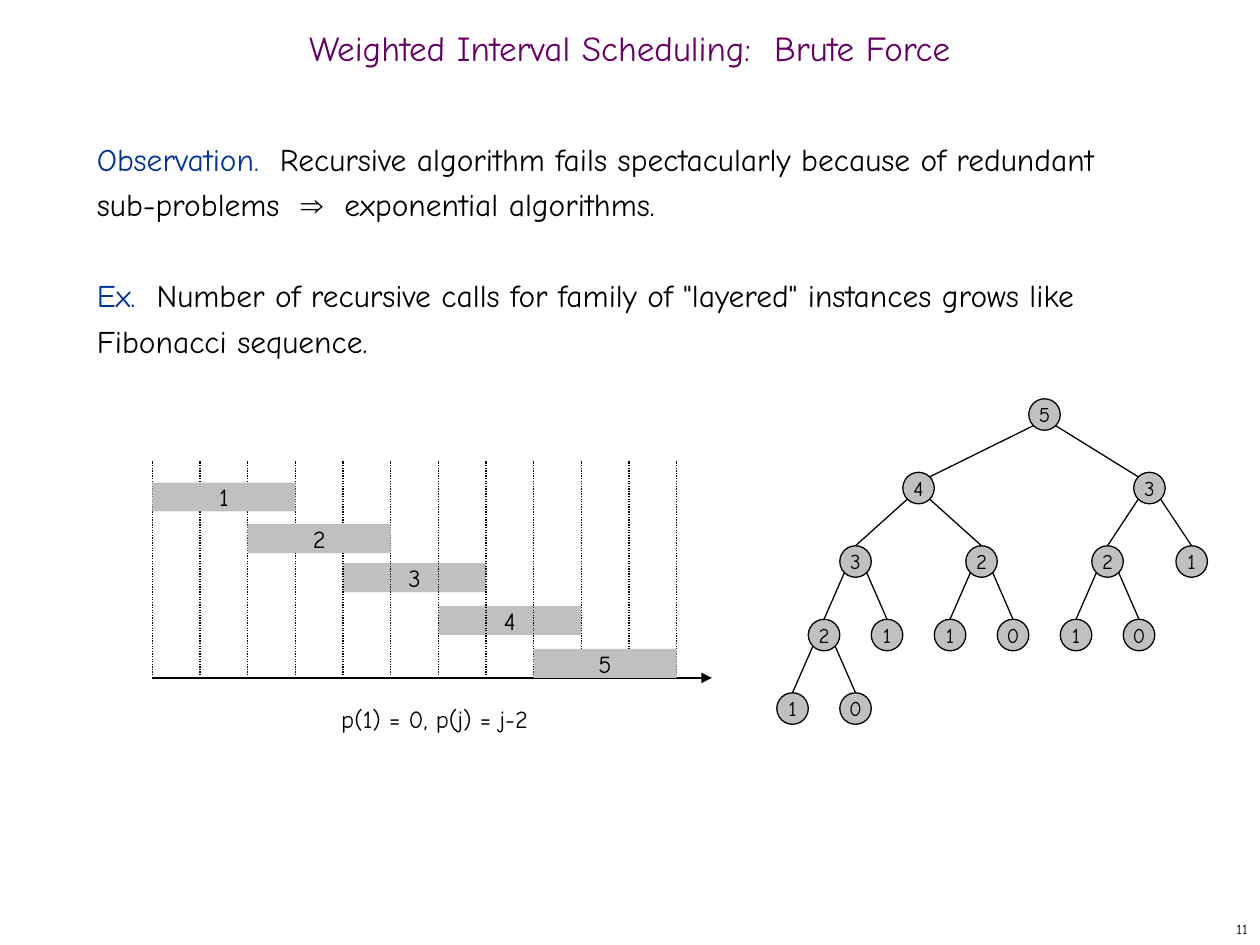
from dataclasses import dataclass
from math import sqrt

from lxml import etree
from pptx import Presentation
from pptx.dml.color import RGBColor
from pptx.enum.dml import MSO_LINE
from pptx.enum.shapes import MSO_CONNECTOR, MSO_SHAPE
from pptx.enum.text import MSO_ANCHOR, PP_ALIGN
from pptx.oxml.ns import qn
from pptx.util import Inches, Pt

BLACK = RGBColor(0x00, 0x00, 0x00)
PURPLE = RGBColor(0x66, 0x00, 0x66)
BLUE = RGBColor(0x00, 0x33, 0x99)
GRAY = RGBColor(0xC0, 0xC0, 0xC0)
FONT, SYMBOL_FONT = "Comic Neue", "Arial"
LEFT, CENTER, RIGHT = PP_ALIGN.LEFT, PP_ALIGN.CENTER, PP_ALIGN.RIGHT
TOP, MIDDLE = MSO_ANCHOR.TOP, MSO_ANCHOR.MIDDLE
DOTTED = MSO_LINE.ROUND_DOT
RECTANGLE, OVAL = MSO_SHAPE.RECTANGLE, MSO_SHAPE.OVAL
STRAIGHT = MSO_CONNECTOR.STRAIGHT

SLIDE_W, SLIDE_H = 10, 7.5

# Timeline grid: 12 ticks from the first to the last
AXIS_LEFT, AXIS_RIGHT, AXIS_Y = 1.21, 5.65, 5.38
TICK_TOP, TICK_COUNT = 3.66, 12
TICK_GAP = (5.37 - AXIS_LEFT) / (TICK_COUNT - 1)
BAR_COLUMNS, BAR_H = 3, 0.23

# Call tree grid: centre of the first cell, cell size and node size
TREE_LEFT, TREE_TOP = 6.29, 3.29
TREE_COLUMN, TREE_ROW = 0.25, 7 / 12
NODE_SIZE = 0.25
DIAGONAL = NODE_SIZE / 2 / sqrt(2)


@dataclass(frozen=True)
class Run:
    text: str
    color: RGBColor = BLACK
    font: str = FONT


@dataclass(frozen=True)
class Job:
    number: int
    top: float

    @property
    def column(self) -> int:
        return 2 * (self.number - 1)


@dataclass(frozen=True)
class Call:
    """One recursive call: its argument, grid cell and the calls it makes."""
    argument: int
    column: float
    row: int
    children: tuple["Call", ...] = ()

    @property
    def center(self) -> tuple[float, float]:
        return (TREE_LEFT + self.column * TREE_COLUMN,
                TREE_TOP + self.row * TREE_ROW)


JOBS_BEHIND_TICKS = (Job(3, 4.47), Job(4, 4.81))
JOBS_OVER_TICKS = (Job(5, 5.15), Job(1, 3.83), Job(2, 4.16))


def call_two(column: float, row: int, children: tuple[Call, ...]) -> Call:
    return Call(2, column, row, children)


def leaves(left_column: float, row: int) -> tuple[Call, ...]:
    return Call(1, left_column, row), Call(0, left_column + 2, row)


CALL_TREE = Call(5, 8, 0, (
    Call(4, 4, 1, (
        Call(3, 2, 2, (call_two(1, 3, leaves(0, 4)), Call(1, 3, 3))),
        call_two(6, 2, leaves(5, 3)))),
    Call(3, 11.33, 1, (
        call_two(10, 2, leaves(9, 3)),
        Call(1, 12.67, 2)))))


def write(shape, paragraphs: list[list[Run]], *, size: float, align=LEFT,
          anchor=MIDDLE, wrap=False, line_spacing=None, gap: float = 0) -> None:
    frame = shape.text_frame
    frame.word_wrap = wrap
    frame.vertical_anchor = anchor
    for index, runs in enumerate(paragraphs):
        paragraph = frame.add_paragraph() if index else frame.paragraphs[0]
        paragraph.alignment = align
        if line_spacing:
            paragraph.line_spacing = line_spacing
        if index:
            paragraph.space_before = Pt(gap)
        for part in runs:
            run = paragraph.add_run()
            run.text = part.text
            run.font.size = Pt(size)
            run.font.name = part.font
            run.font.color.rgb = part.color


def add_text(shapes, left: float, top: float, width: float, height: float,
             paragraphs: list[list[Run]], **text_format) -> None:
    box = shapes.add_textbox(*map(Inches, (left, top, width, height)))
    write(box, paragraphs, **text_format)


def add_label_shape(shapes, kind, left: float, top: float, width: float,
                    height: float, label: str, size: float,
                    outlined: bool) -> None:
    shape = shapes.add_shape(kind, *map(Inches, (left, top, width, height)))
    shape.shadow.inherit = False
    shape.fill.solid()
    shape.fill.fore_color.rgb = GRAY
    if outlined:
        shape.line.color.rgb = BLACK
        shape.line.width = Pt(0.75)
    else:
        shape.line.fill.background()
    write(shape, [[Run(label)]], size=size, align=CENTER)


def add_line(shapes, start: tuple[float, float], end: tuple[float, float],
             dash=None, arrow: bool = False) -> None:
    line = shapes.add_connector(STRAIGHT, *map(Inches, (*start, *end)))
    line.line.color.rgb = BLACK
    line.line.width = Pt(0.75)
    if dash:
        line.line.dash_style = dash
    properties = line._element.spPr
    if arrow:
        etree.SubElement(properties.find(qn("a:ln")), qn("a:tailEnd"),
                         type="triangle")
    etree.SubElement(properties, qn("a:effectLst"))


def add_jobs(shapes, jobs: tuple[Job, ...]) -> None:
    for job in jobs:
        add_label_shape(shapes, RECTANGLE, AXIS_LEFT + job.column * TICK_GAP,
                        job.top, BAR_COLUMNS * TICK_GAP, BAR_H,
                        str(job.number), 14, outlined=False)


def add_timeline(shapes) -> None:
    add_line(shapes, (AXIS_LEFT, AXIS_Y), (AXIS_RIGHT, AXIS_Y), arrow=True)
    add_jobs(shapes, JOBS_BEHIND_TICKS)
    ticks = shapes.add_group_shape().shapes
    for column in range(TICK_COUNT):
        x = AXIS_LEFT + column * TICK_GAP
        add_line(ticks, (x, AXIS_Y), (x, TICK_TOP), dash=DOTTED)
    add_jobs(shapes, JOBS_OVER_TICKS)


def add_calls(shapes, call: Call) -> None:
    """Draw a call, then each call below it with the edge that leads there."""
    x, y = call.center
    add_label_shape(shapes, OVAL, x - NODE_SIZE / 2, y - NODE_SIZE / 2,
                    NODE_SIZE, NODE_SIZE, str(call.argument), 12, outlined=True)
    for child in call.children:
        child_x, child_y = child.center
        side = DIAGONAL if child_x > x else -DIAGONAL
        if call.row == 0:  # the wide top edges meet the child's shoulder
            end = (child_x - side, child_y - DIAGONAL)
        else:
            end = (child_x, child_y - NODE_SIZE / 2)
        add_line(shapes, (x + side, y + DIAGONAL), end)
        add_calls(shapes, child)


def main() -> None:
    deck = Presentation()
    deck.slide_width, deck.slide_height = Inches(SLIDE_W), Inches(SLIDE_H)
    shapes = deck.slides.add_slide(deck.slide_layouts[6]).shapes

    add_text(shapes, 0, 0.17, SLIDE_W, 0.5,
             [[Run("Weighted Interval Scheduling:  Brute Force", PURPLE)]],
             size=20, align=CENTER, wrap=True, line_spacing=0.7)
    add_text(shapes, 0.67, 1, 8.58, 5.92, [
        [Run("Observation.  ", BLUE),
         Run("Recursive algorithm fails spectacularly because of redundant "
             "sub-problems  "),
         Run("⇒", font=SYMBOL_FONT),
         Run("  exponential algorithms.")],
        [Run("Ex.  ", BLUE),
         Run('Number of recursive calls for family of "layered" instances '
             "grows like Fibonacci sequence.")],
    ], size=18, anchor=TOP, wrap=True, line_spacing=Pt(26), gap=26)

    add_timeline(shapes)
    add_text(shapes, 2.61, 5.54, 1.69, 0.33, [[Run("p(1) = 0, p(j) = j-2")]],
             size=14, anchor=TOP)
    add_calls(shapes.add_group_shape().shapes, CALL_TREE)
    add_text(shapes, 7.92, SLIDE_H - 0.25, 2.08, 0.25, [[Run("11")]],
             size=8, align=RIGHT, wrap=True)
    deck.save("out.pptx")


if __name__ == "__main__":
    main()
